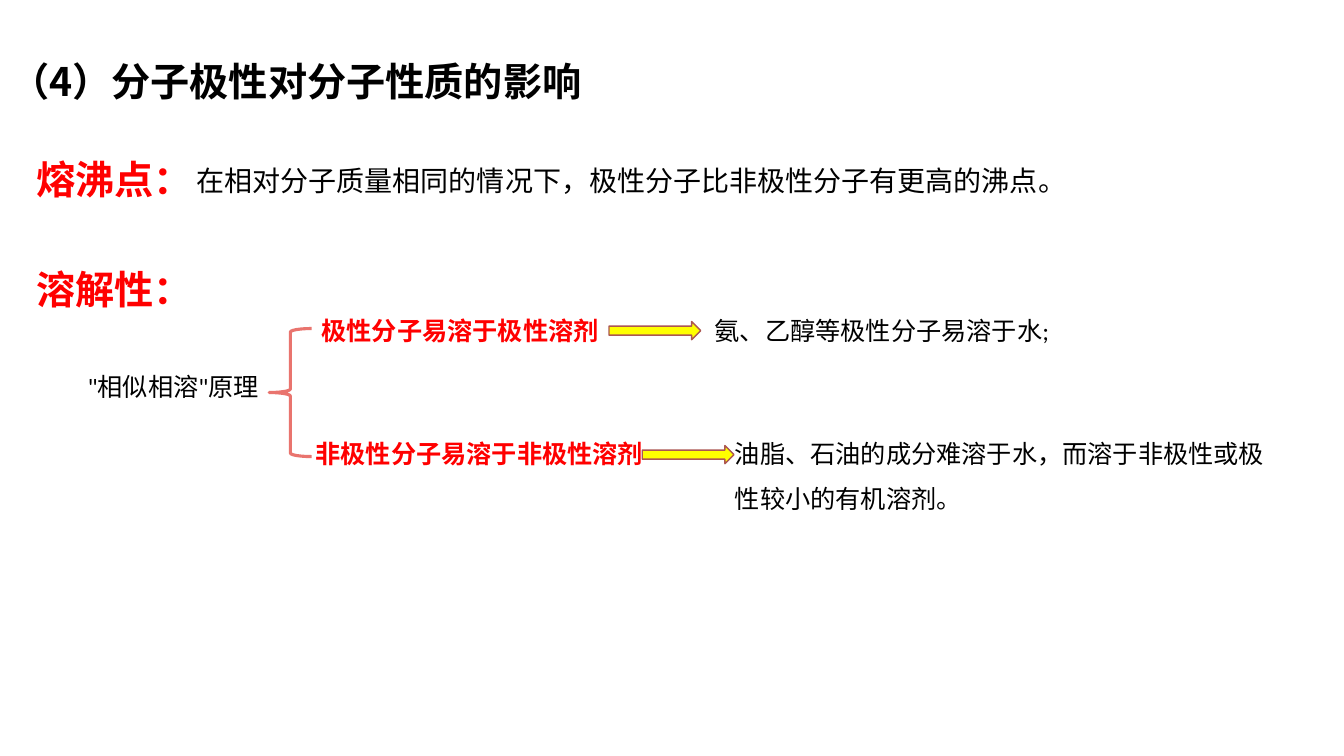
import pptx
import pptx.util
import pptx.dml.color
import pptx.enum.shapes
import pptx.enum.text
import pptx.oxml.ns
from lxml import etree

PX = 9144  # EMU per px, 100 px to the inch
SIZE = (1333, 750)
CJK = "Noto Sans CJK SC"
BLACK, RED = "000000", "FF0000"

# Content: text, box (left, top, width, height)
TITLE = ("（4）分子极性对分子性质的影响", (0, 52, 642, 57))
HEADS = [
    ("熔沸点：", (26, 149, 159, 57)),
    ("溶解性：", (26, 258, 159, 57)),
]
BOIL = ("在相对分子质量相同的情况下，极性分子比非极性分子有更高的沸点。", (185, 157, 881, 44))
RULE = ('"相似相溶"原理', (77, 363, 190, 40))
CASES = [
    ("极性分子易溶于极性溶剂", (309, 308, 295, 40)),
    ("非极性分子易溶于非极性溶剂", (303, 430, 345, 40)),
]
POLAR = ("氨、乙醇等极性分子易溶于水;", (699, 308, 352, 40))
OILS = ("油脂、石油的成分难溶于水，而溶于非极性或极性较小的有机溶剂。", (719, 415, 563, 101))
BRACE = (267, 326, 42, 127)
ARROWS = [(604, 319, 91, 18), (637, 442, 91, 18)]

deck = pptx.Presentation()
deck.slide_width, deck.slide_height = [n * PX for n in SIZE]
slide = deck.slides.add_slide(deck.slide_layouts[5])
shapes = slide.shapes
KIND = pptx.enum.shapes.MSO_SHAPE


def color(code):
    return pptx.dml.color.RGBColor.from_string(code)


def write(shape, text, size, code=BLACK, bold=False, face="Calibri", wrap=True, lines=1.0):
    frame = shape.text_frame
    frame.text = text
    frame.word_wrap = wrap
    frame.auto_size = pptx.enum.text.MSO_AUTO_SIZE.NONE
    frame.vertical_anchor = pptx.enum.text.MSO_ANCHOR.TOP
    para = frame.paragraphs[0]
    para.alignment = pptx.enum.text.PP_ALIGN.LEFT
    para.line_spacing = lines
    para.space_before = pptx.util.Pt(0)
    font = para.font
    font.name, font.size, font.bold = face, pptx.util.Pt(size), bold
    font.color.rgb = color(code)
    # East Asian face
    name = pptx.oxml.ns.qn
    props = para._p.pPr.find(name("a:defRPr"))
    etree.SubElement(props, name("a:ea"), typeface=CJK)


def label(item, size, **look):
    text, box = item
    write(shapes.add_textbox(*[n * PX for n in box]), text, size, **look)


def draw(kind, box, line, width, fill=None):
    shape = shapes.add_shape(kind, *[n * PX for n in box])
    shape.shadow.inherit = False
    if fill:
        shape.fill.solid()
        shape.fill.fore_color.rgb = color(fill)
    else:
        shape.fill.background()
    shape.line.color.rgb = color(line)
    shape.line.width = pptx.util.Pt(width)


# Title
text, box = TITLE
title = shapes.title
title.left, title.top, title.width, title.height = [n * PX for n in box]
write(title, text, 28, bold=True, face=CJK)

# Headings and boiling point
for head in HEADS:
    label(head, 28, code=RED, bold=True, face=CJK)
label(BOIL, 20, wrap=False)

# Solubility
label(RULE, 18)
for case in CASES:
    label(case, 18, code=RED, bold=True, wrap=False)
label(OILS, 18, lines=1.5)
label(POLAR, 18, wrap=False)

# Brace and arrows
draw(KIND.LEFT_BRACE, BRACE, "E9746E", 2.25)
for arrow in ARROWS:
    draw(KIND.RIGHT_ARROW, arrow, "AC5651", 1, fill="FFFF00")

deck.save("out.pptx")
